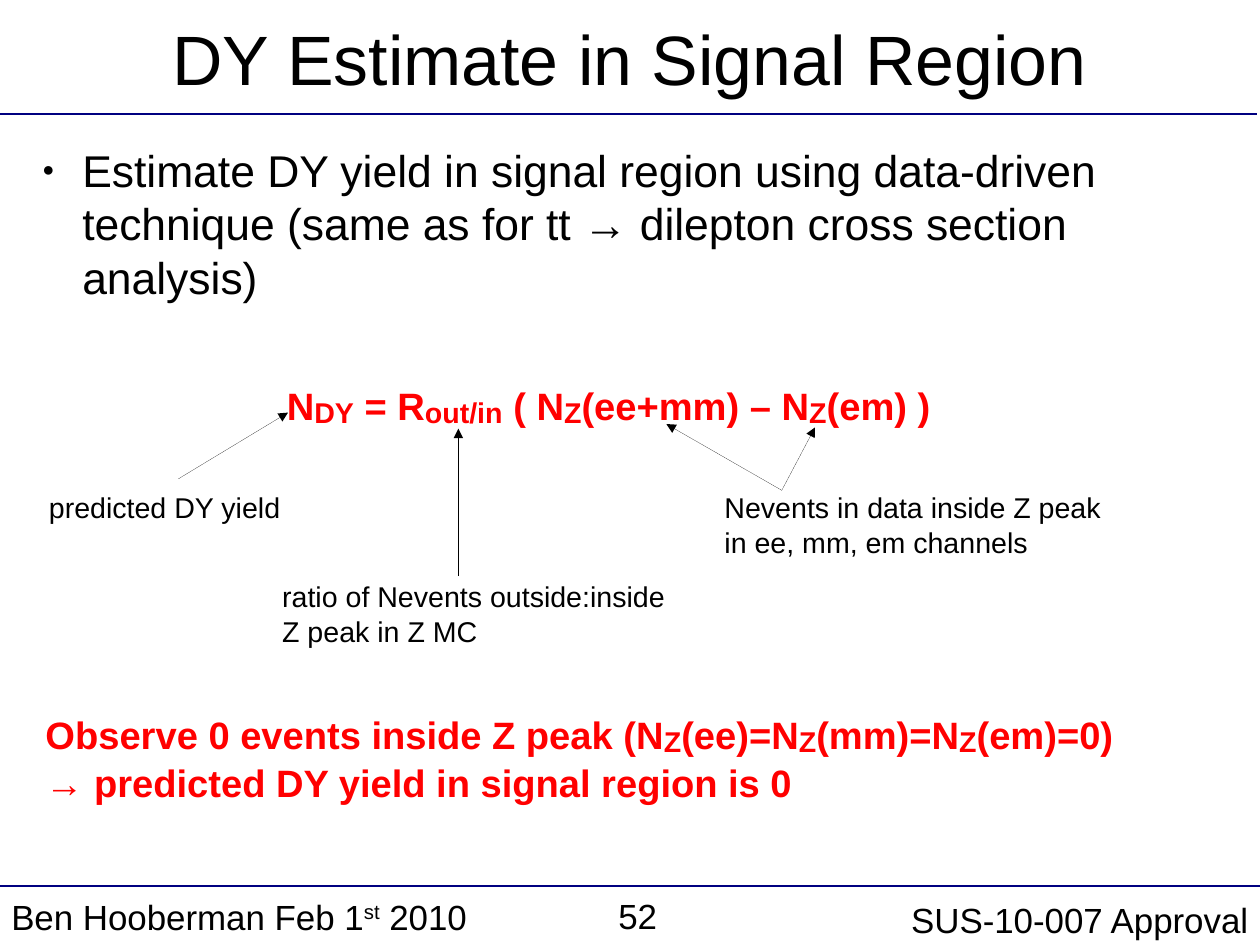
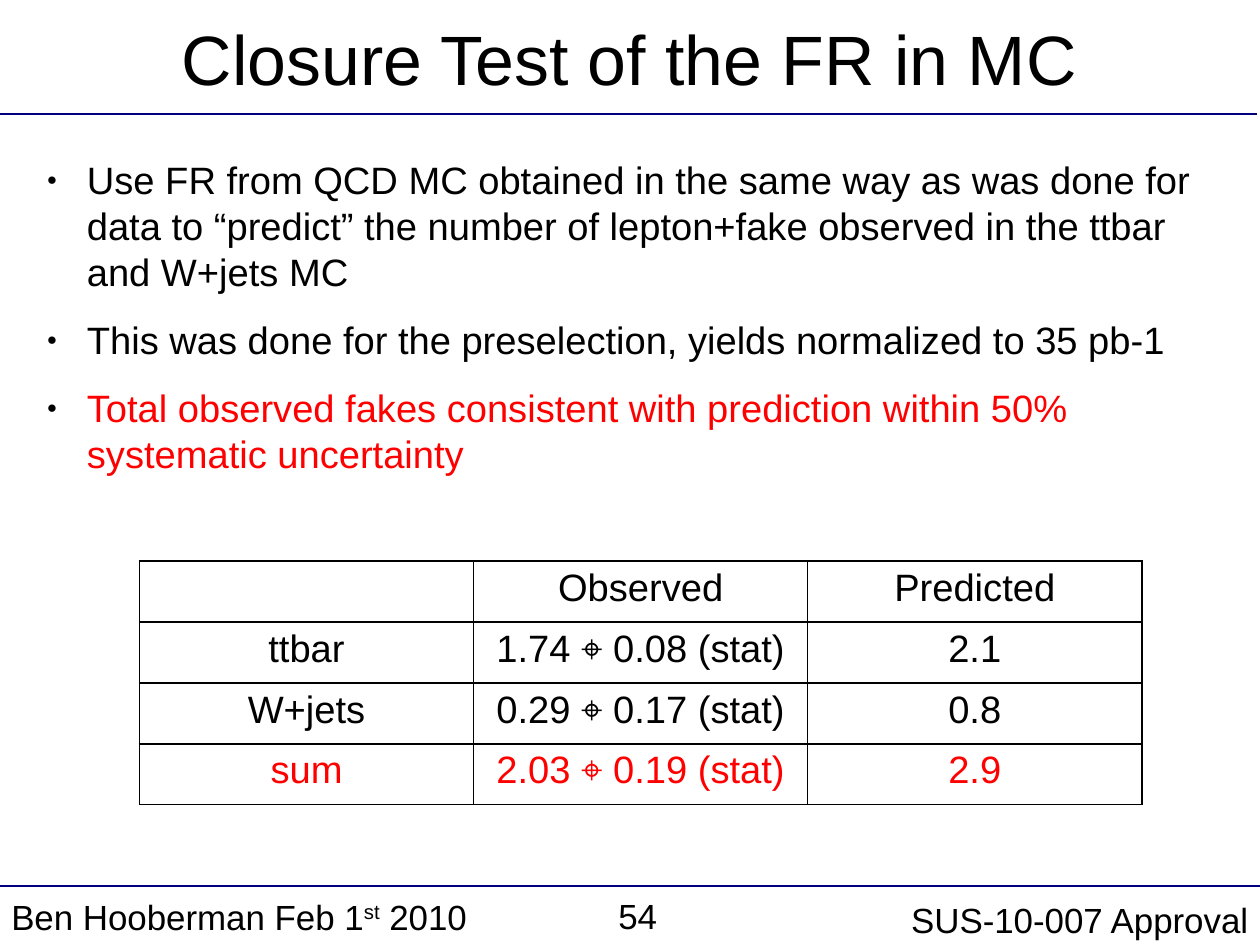
from lxml.etree import SubElement
from pptx import Presentation
from pptx.dml.color import RGBColor
from pptx.enum.shapes import MSO_CONNECTOR
from pptx.enum.text import MSO_ANCHOR, MSO_AUTO_SIZE, PP_ALIGN
from pptx.oxml import parse_xml
from pptx.oxml.ns import nsdecls, qn
from pptx.util import Inches, Pt

FONT = "Arial"
BLACK, WHITE, RED, NAVY = "000000", "FFFFFF", "FF0000", "000080"
CM_PER_INCH = 2.54
WIDTH, HEIGHT = 28 / CM_PER_INCH, 21 / CM_PER_INCH
SUBSCRIPT = (31, -5000)
SUPERSCRIPT = (22, 33000)


def set_color(color_format, hex_color):
    color_format.rgb = RGBColor.from_string(hex_color)


def set_fill(fill, hex_color):
    fill.solid()
    set_color(fill.fore_color, hex_color)


def write(paragraph, text, size=24, color=BLACK, bold=False,
          align=PP_ALIGN.LEFT, script=SUBSCRIPT):
    """Fill a paragraph; every second piece between bars is a sub- or superscript."""
    paragraph.alignment = align
    paragraph.space_before = Pt(0)
    for index, piece in enumerate(text.split("|")):
        run = paragraph.add_run()
        run.text = piece
        run.font.name = FONT
        run.font.bold = bold
        run.font.size = Pt(size)
        set_color(run.font.color, color)
        if index % 2:
            script_size, baseline = script
            run.font.size = Pt(script_size)
            run.font._element.set("baseline", str(baseline))


def add_bullet(paragraph):
    properties = paragraph._p.get_or_add_pPr()
    properties.set("marL", str(Inches(0.47)))
    properties.set("indent", str(Inches(-0.35)))
    color = SubElement(properties, qn("a:buClr"))
    SubElement(color, qn("a:srgbClr"), val=BLACK)
    SubElement(properties, qn("a:buSzPct"), val="45000")
    SubElement(properties, qn("a:buFont"), typeface=FONT)
    SubElement(properties, qn("a:buChar"), char="●")


def add_borders(cell, width=1.13):
    properties = cell._tc.get_or_add_tcPr()
    for index, side in enumerate(("lnL", "lnR", "lnT", "lnB")):
        properties.insert(index, parse_xml(
            f'<a:{side} {nsdecls("a")} w="{Pt(width)}"><a:solidFill>'
            f'<a:srgbClr val="{BLACK}"/></a:solidFill></a:{side}>'))


class Deck:
    def __init__(self):
        self.presentation = Presentation()
        self.presentation.slide_width = Inches(WIDTH)
        self.presentation.slide_height = Inches(HEIGHT)
        self.slide = None

    def new_slide(self, title, number):
        layout = self.presentation.slide_layouts[1]
        self.slide = self.presentation.slides.add_slide(layout)
        set_fill(self.slide.background.fill, WHITE)
        self.line((-0.02, 1), (11, 1), NAVY, 1.45)
        self.line((0, 7.75), (WIDTH, 7.75), NAVY, 1.45)
        self.text((0, 7.79, 7.75, 0.48), "Ben Hooberman Feb 1|st| 2010",
                  size=22, script=SUPERSCRIPT)
        self.text((6.95, 7.81, 4.07, 0.48), "SUS-10-007 Approval",
                  size=22, align=PP_ALIGN.RIGHT)
        self.text((3.18, 7.83, 2.57, 0.57), str(number), margins=(0, 0),
                  size=22, align=PP_ALIGN.RIGHT)
        heading = self.place(self.slide.shapes.title, (0, 0, WIDTH, 1))
        heading.vertical_anchor = MSO_ANCHOR.MIDDLE
        write(heading.paragraphs[0], title, size=44, align=PP_ALIGN.CENTER)

    def frame(self, shape, margins):
        frame = shape.text_frame
        frame.word_wrap = True
        frame.auto_size = MSO_AUTO_SIZE.NONE
        frame.margin_left = frame.margin_right = Inches(margins[0])
        frame.margin_top = frame.margin_bottom = Inches(margins[1])
        return frame

    def place(self, placeholder, box):
        """Move a placeholder and return its text frame without margins."""
        (placeholder.left, placeholder.top,
         placeholder.width, placeholder.height) = map(Inches, box)
        return self.frame(placeholder, (0, 0))

    def bullets(self, box, items, size):
        """Fill the body with (text, colour) items."""
        body = self.place(self.slide.placeholders[1], box)
        body.vertical_anchor = MSO_ANCHOR.TOP
        for index, (text, color) in enumerate(items):
            paragraph = body.add_paragraph() if index else body.paragraphs[0]
            paragraph.space_after = Pt(14.2)
            add_bullet(paragraph)
            write(paragraph, text, size=size, color=color)

    def text(self, box, text, margins=(0.1, 0.05), **text_format):
        shape = self.slide.shapes.add_textbox(*map(Inches, box))
        write(self.frame(shape, margins).paragraphs[0], text, **text_format)

    def line(self, start, end, color=BLACK, width=0, arrow=False):
        """Draw a line; width 0 is a hairline, which has to be stated in the XML."""
        connector = self.slide.shapes.add_connector(
            MSO_CONNECTOR.STRAIGHT, *map(Inches, start + end))
        set_color(connector.line.color, color)
        outline = connector.line._get_or_add_ln()
        outline.set("w", str(Pt(width)))
        if arrow:
            SubElement(outline, qn("a:tailEnd"), type="triangle")
        SubElement(connector._element.spPr, qn("a:effectLst"))

    def table(self, box, rows, row_colors):
        table = self.slide.shapes.add_table(
            len(rows), len(rows[0]), *map(Inches, box)).table
        table.first_row = table.horz_banding = False
        for row, texts, color in zip(table.rows, rows, row_colors):
            for cell, text in zip(row.cells, texts):
                set_fill(cell.fill, WHITE)
                add_borders(cell)
                if text:
                    write(cell.text_frame.paragraphs[0], text, color=color,
                          align=PP_ALIGN.CENTER)


def build_estimate(deck):
    deck.new_slide("DY Estimate in Signal Region", 52)
    deck.bullets((0.25, 1.25, 10.5, 6.25), [
        ("Estimate DY yield in signal region using data-driven technique "
         "(same as for tt → dilepton cross section analysis)", BLACK)], size=28)
    deck.text((1.68, 3.2, 7.29, 0.6),
              "N|DY| = R|out/in| ( N|Z|(ee+mm) – N|Z|(em) )",
              color=RED, bold=True, align=PP_ALIGN.CENTER)
    for box, meaning in (
            ((0.33, 4.24, 3.03, 0.41), "predicted DY yield"),
            ((2.37, 5.02, 3.62, 0.72),
             "ratio of Nevents outside:inside Z peak in Z MC"),
            ((6.24, 4.24, 3.63, 0.72),
             "Nevents in data inside Z peak in ee, mm, em channels")):
        deck.text(box, meaning, size=18)
    data_events = (6.84, 4.29)
    for start, end in (((1.56, 4.19), (2.52, 3.61)),
                       ((4.01, 5.04), (4.01, 3.75)),
                       (data_events, (5.83, 3.71)),
                       (data_events, (7.13, 3.74))):
        deck.line(start, end, arrow=True)
    deck.text((0.3, 6.08, 9.9, 1.03),
              "Observe 0 events inside Z peak (N|Z|(ee)=N|Z|(mm)=N|Z|(em)=0) "
              "→ predicted DY yield in signal region is 0",
              color=RED, bold=True)


def build_closure_test(deck):
    deck.new_slide("Closure Test of the FR in MC", 54)
    deck.bullets((0.29, 1.37, 10.5, 3.44), [
        ("Use FR from QCD MC obtained in the same way as was done for data to "
         "“predict” the number of lepton+fake observed in the ttbar and "
         "W+jets MC", BLACK),
        ("This was done for the preselection, yields normalized to 35 pb-1",
         BLACK),
        ("Total observed fakes consistent with prediction within 50% "
         "systematic uncertainty", RED)], size=24)
    deck.table((1.22, 4.91, 8.77, 2.13), [
        ("", "Observed", "Predicted"),
        ("ttbar", "1.74 ⌖ 0.08 (stat)", "2.1"),
        ("W+jets", "0.29 ⌖ 0.17 (stat)", "0.8"),
        ("sum", "2.03 ⌖ 0.19 (stat)", "2.9")],
        row_colors=(BLACK, BLACK, BLACK, RED))


def main():
    deck = Deck()
    build_estimate(deck)
    build_closure_test(deck)
    deck.presentation.save("out.pptx")


if __name__ == "__main__":
    main()
